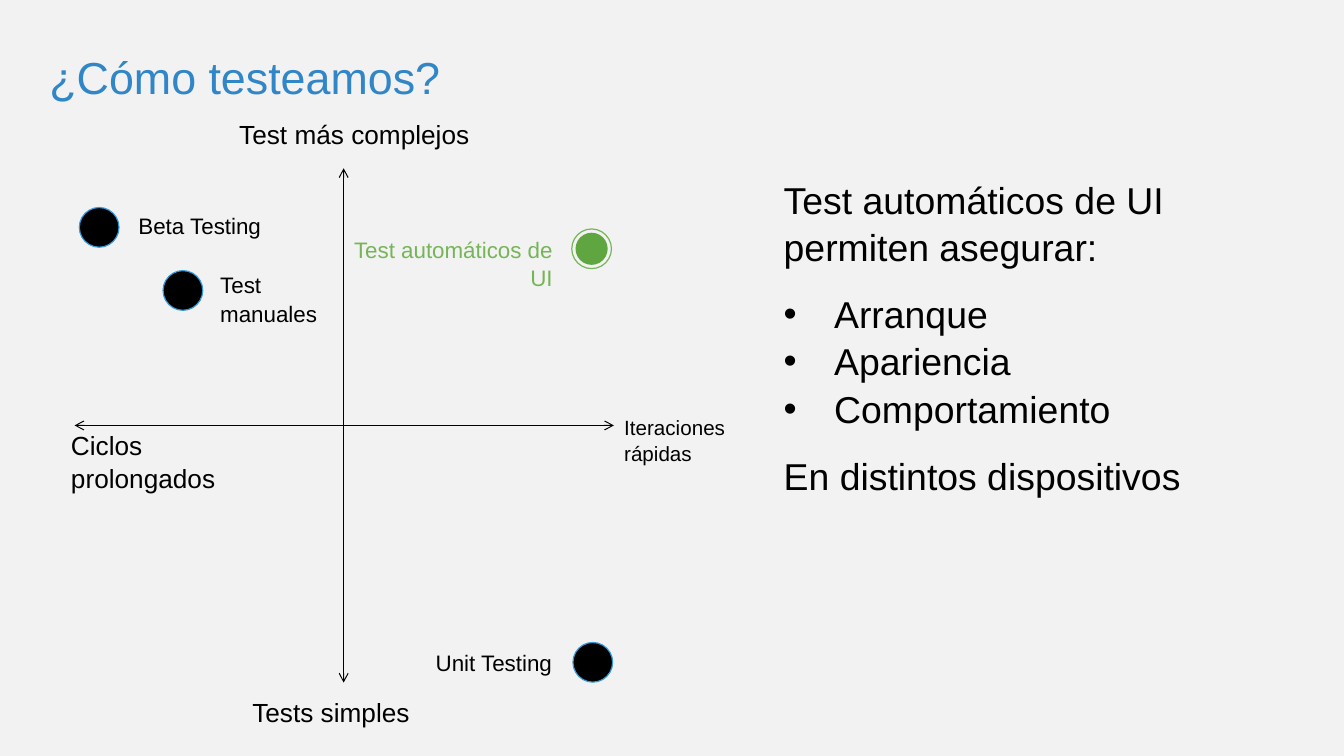
from dataclasses import dataclass

from lxml.etree import SubElement
from pptx import Presentation
from pptx.dml.color import RGBColor
from pptx.enum.shapes import MSO_CONNECTOR, MSO_SHAPE
from pptx.enum.text import MSO_ANCHOR, MSO_AUTO_SIZE, PP_ALIGN
from pptx.oxml.ns import qn
from pptx.slide import Slide
from pptx.text.text import TextFrame, _Paragraph
from pptx.util import Cm, Pt

COLORS = {
    "background": "F2F2F2",
    "title": "3186C7",
    "text": "000000",
    "ring": "3399DB",
    "highlight": "60A640",
    "highlight_text": "76B557",
}
FONT = "Arial"
CORE_DIAMETER = 0.81
RING_DIAMETER = 1.0
BULLET_INDENT = 1.27


@dataclass
class Axis:
    x1: float
    y1: float
    x2: float
    y2: float


@dataclass
class Label:
    text: str
    left: float
    top: float
    width: float
    height: float
    size: float
    color: str = "text"
    align: PP_ALIGN = PP_ALIGN.LEFT
    anchor: MSO_ANCHOR = MSO_ANCHOR.MIDDLE


@dataclass
class Marker:
    x: float
    y: float
    core: str = "text"
    core_line: str | None = "ring"
    ring_fill: str | None = "text"
    ring: str = "ring"


@dataclass
class Point:
    text: str
    bulleted: bool = False
    space_before: float = 0


AXES = [Axis(1.88, 10.72, 15.47, 10.72), Axis(8.66, 4.24, 8.66, 17.2)]
LABELS = [
    Label("Ciclos prolongados", 1.45, 11.13, 5.38, 0.94, 18.7),
    Label("Iteraciones rápidas", 15.39, 10.13, 3.45, 1.88, 14.7),
    Label("Test más complejos", 5.69, 2.82, 7.57, 1.07, 18.7),
    Label("Tests simples", 6.02, 17.45, 5.38, 0.94, 18.7),
    Label("Beta Testing", 3.15, 5.21, 5.38, 0.94, 16),
    Label("Test manuales", 5.21, 6.58, 4.11, 1.88, 16),
    Label("Test automáticos de UI", 8.43, 5.74, 5.84, 2.13, 16,
          "highlight_text", PP_ALIGN.RIGHT, MSO_ANCHOR.TOP),
    Label("Unit Testing", 10.64, 16.21, 3.73, 0.94, 16),
]
MARKERS = [
    Marker(2.5, 5.73),
    Marker(14.91, 6.27, "highlight", None, None, "highlight_text"),
    Marker(4.61, 7.32),
    Marker(14.94, 16.69),
]
POINTS = [
    Point("Test automáticos de UI permiten asegurar:"),
    Point("Arranque", True, 14.4),
    Point("Apariencia", True),
    Point("Comportamiento", True),
    Point("En distintos dispositivos", space_before=14.4),
]


def rgb(name: str) -> RGBColor:
    return RGBColor.from_string(COLORS[name])


def add_run(paragraph: _Paragraph, text: str, size: float, color: str) -> None:
    run = paragraph.add_run()
    run.text = text
    run.font.name = FONT
    run.font.size = Pt(size)
    run.font.color.rgb = rgb(color)


def prepare_frame(frame: TextFrame, anchor: MSO_ANCHOR) -> None:
    frame.word_wrap = True
    frame.auto_size = MSO_AUTO_SIZE.NONE
    frame.vertical_anchor = anchor
    frame.margin_left = frame.margin_right = Cm(0.34)
    frame.margin_top = frame.margin_bottom = Cm(0.17)


def draw_axis(slide: Slide, axis: Axis) -> None:
    arrow = slide.shapes.add_connector(
        MSO_CONNECTOR.STRAIGHT, Cm(axis.x1), Cm(axis.y1), Cm(axis.x2), Cm(axis.y2))
    arrow.line.color.rgb = rgb("text")
    arrow.line.width = Pt(0.75)
    outline = arrow.line._get_or_add_ln()
    for end in ("a:headEnd", "a:tailEnd"):
        SubElement(outline, qn(end), type="arrow")
    SubElement(arrow._element.spPr, qn("a:effectLst"))


def draw_label(slide: Slide, label: Label) -> None:
    box = slide.shapes.add_textbox(
        Cm(label.left), Cm(label.top), Cm(label.width), Cm(label.height))
    prepare_frame(box.text_frame, label.anchor)
    paragraph = box.text_frame.paragraphs[0]
    paragraph.alignment = label.align
    paragraph.line_spacing = 1.05
    add_run(paragraph, label.text, label.size, label.color)


def draw_marker(slide: Slide, marker: Marker) -> None:
    group = slide.shapes.add_group_shape()
    for diameter, fill, line in (
        (CORE_DIAMETER, marker.core, marker.core_line),
        (RING_DIAMETER, marker.ring_fill, marker.ring),
    ):
        circle = group.shapes.add_shape(
            MSO_SHAPE.OVAL, Cm(marker.x - diameter / 2), Cm(marker.y - diameter / 2),
            Cm(diameter), Cm(diameter))
        circle.shadow.inherit = False
        if fill:
            circle.fill.solid()
            circle.fill.fore_color.rgb = rgb(fill)
        else:
            circle.fill.background()
        if line:
            circle.line.color.rgb = rgb(line)
            circle.line.width = Pt(0.85)
        else:
            circle.line.fill.background()


def write_title(slide: Slide) -> None:
    title = slide.shapes.title
    title.left, title.top, title.width, title.height = Cm(0.99), Cm(0.56), Cm(26.11), Cm(2.18)
    title.text_frame.auto_size = MSO_AUTO_SIZE.NONE
    title.text_frame.vertical_anchor = MSO_ANCHOR.BOTTOM
    heading = title.text_frame.paragraphs[0]
    heading.alignment = PP_ALIGN.LEFT
    add_run(heading, "¿Cómo testeamos?", 32, "title")


def write_points(slide: Slide) -> None:
    body = slide.placeholders[1]
    body.left, body.top, body.width, body.height = Cm(19.41), Cm(4.24), Cm(13.49), Cm(8.99)
    prepare_frame(body.text_frame, MSO_ANCHOR.TOP)
    for index, point in enumerate(POINTS):
        paragraph = body.text_frame.add_paragraph() if index else body.text_frame.paragraphs[0]
        properties = paragraph._p.get_or_add_pPr()
        indent = Cm(BULLET_INDENT) if point.bulleted else 0
        properties.set("marL", str(indent))
        properties.set("indent", str(-indent))
        if point.bulleted:
            SubElement(properties, qn("a:buFont"), typeface=FONT)
            SubElement(properties, qn("a:buChar"), char="•")
        else:
            SubElement(properties, qn("a:buNone"))
        paragraph.alignment = PP_ALIGN.LEFT
        paragraph.line_spacing = 1.05
        paragraph.space_before = Pt(point.space_before)
        add_run(paragraph, point.text, 26.7, "text")


def main() -> None:
    presentation = Presentation()
    presentation.slide_width, presentation.slide_height = Cm(33.87), Cm(19.05)
    slide = presentation.slides.add_slide(presentation.slide_layouts[1])
    slide.background.fill.solid()
    slide.background.fill.fore_color.rgb = rgb("background")
    write_title(slide)
    write_points(slide)
    for axis in AXES:
        draw_axis(slide, axis)
    for label in LABELS:
        draw_label(slide, label)
    for marker in MARKERS:
        draw_marker(slide, marker)
    presentation.save("out.pptx")


if __name__ == "__main__":
    main()
